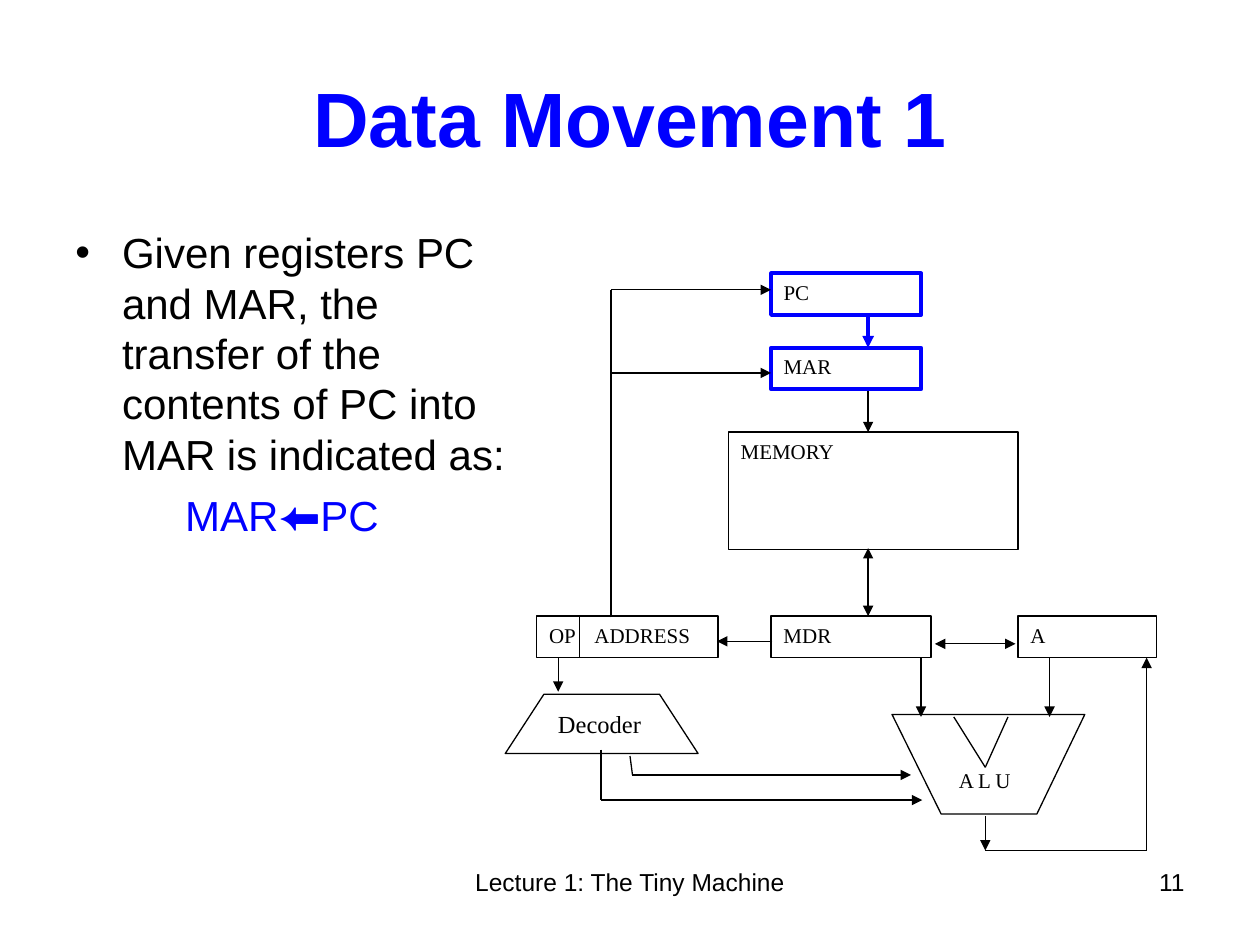
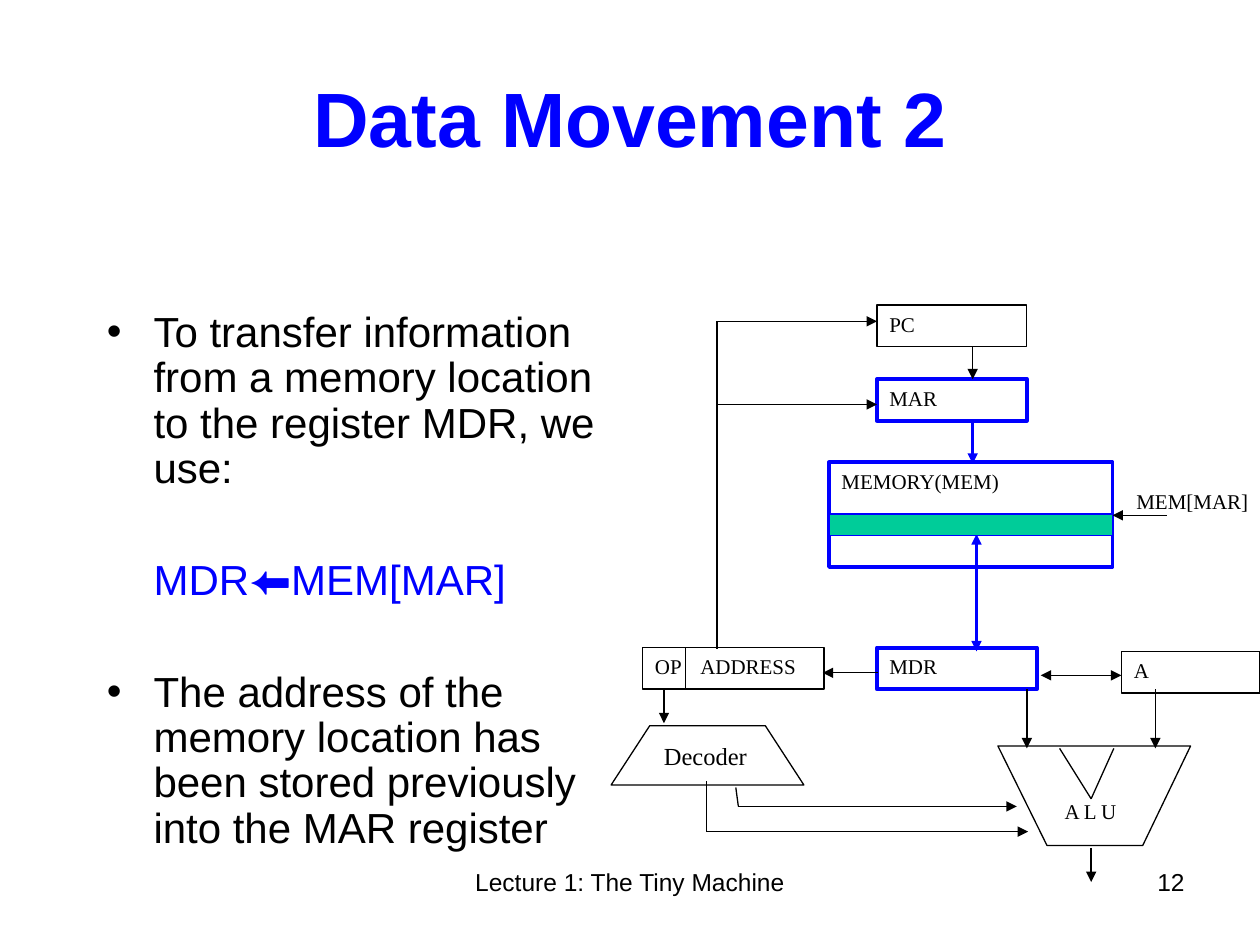
import pptx
import pptx.util
import pptx.dml.color
import pptx.enum.shapes
import pptx.enum.text
import pptx.oxml
import pptx.oxml.ns

Inches, Pt = pptx.util.Inches, pptx.util.Pt
RGB = pptx.dml.color.RGBColor
SHAPE = pptx.enum.shapes.MSO_SHAPE
ALIGN = pptx.enum.text.PP_ALIGN
ANCHOR = pptx.enum.text.MSO_ANCHOR
qn = pptx.oxml.ns.qn

BLACK, WHITE = RGB(0, 0, 0), RGB(255, 255, 255)
BLUE, GREEN = RGB(0, 0, 255), RGB(0, 0xCC, 0x99)
SANS, SERIF = "Arial", "Times New Roman"
THIN, MEDIUM, THICK = 0.74, 1.5, 2.25
FOOTER = "Lecture 1: The Tiny Machine"

# Machine parts common to both slides, placed for the first one
REGISTER_H = 0.33
REGISTERS = {"PC": (6.12, 2.17, 1.19), "MAR": (6.12, 2.76, 1.19),
             "MDR": (6.12, 4.89, 1.27), "OP\tADDRESS": (4.26, 4.89, 1.44)}
ALU = [(7.08, 5.67), (7.47, 6.46), (8.23, 6.46), (8.61, 5.67)]
DECODER = (4.01, 5.51, 1.53, 0.47)
# Each wire: points, then the ends that carry an arrowhead
WIRES = [
    ([(4.85, 4.9), (4.85, 2.3), (6.12, 2.3)], "tail"),       # address to PC
    ([(4.85, 2.96), (6.12, 2.96)], "tail"),                  # address to MAR
    ([(6.13, 5.09), (5.69, 5.09)], "tail"),                  # MDR to address
    ([(7.42, 5.11), (8.06, 5.11)], "both"),                  # MDR and A
    ([(7.31, 5.22), (7.31, 5.69)], "tail"),                  # MDR to ALU
    ([(8.33, 5.22), (8.33, 5.69)], "tail"),                  # A to ALU
    ([(7.57, 5.69), (7.82, 6.09), (8, 5.69)], ""),           # ALU notch
    ([(7.82, 6.48), (7.82, 6.75)], "tail"),                  # ALU result
    ([(4.6, 4.89), (4.6, 5.22)], ""),                        # OP divider
    ([(4.43, 5.22), (4.43, 5.49)], "tail"),                  # OP to decoder
    ([(5, 6), (5.02, 6.15), (7.23, 6.15)], "tail"),          # decoder to ALU
    ([(4.77, 5.95), (4.77, 6.35), (7.32, 6.35)], "tail"),
]

# What differs: active parts, memory, own wires (points, ends, colour, width)
SLIDES = [
    dict(title="Data Movement 1", number="11",
         body_at=(0.5, 1.75, 3.82, 4.95), spacing=1.0,
         body=[("Given registers PC and MAR, the transfer of the contents of "
                "PC into MAR is indicated as:", None, 6),
               ("MAR\u2b05PC", 0.87, 6)],
         offset=(0, 0), active=("PC", "MAR"), a_at=(8.08, 4.89),
         memory=("MEMORY", (5.78, 3.43, 2.3, 0.93)), cell=None,
         wires=[([(6.89, 2.5), (6.89, 2.76)], "tail", BLUE, THICK),
                ([(6.89, 3.1), (6.89, 3.43)], "tail", BLACK, THIN),
                ([(6.89, 4.35), (6.89, 4.89)], "both", BLACK, THIN),
                ([(7.82, 6.75), (9.1, 6.75), (9.1, 5.22)], "tail", BLACK, THIN)]),
    dict(title="Data Movement 2", number="12",
         body_at=(0.75, 2.42, 4.25, 4.83), spacing=0.9,
         body=[("To transfer information from a memory location to the "
                "register MDR, we use:", None, 6),
               ("MDR\u2b05MEM[MAR]", 0.37, 38),
               ("The address of the memory location has been stored previously "
                "into the MAR register", None, 38)],
         offset=(0.84, 0.25), active=("MAR", "MDR", "MEMORY(MEM)"), a_at=(8.9, 5.17),
         memory=("MEMORY(MEM)", (6.58, 3.67, 2.25, 0.83)),
         cell=("MEM[MAR]", (6.58, 4.08, 2.25, 0.17), (8.92, 3.83, 1.08, 0.3)),
         wires=[([(7.72, 2.75), (7.72, 3.01)], "tail", BLACK, THIN),
                ([(7.72, 3.35), (7.72, 3.68)], "tail", BLUE, MEDIUM),
                ([(7.75, 4.24), (7.75, 5.17)], "both", BLUE, MEDIUM),
                ([(9.26, 4.09), (8.83, 4.09)], "tail", BLACK, THIN)]),
]


def style(obj, **formats):
    for name, value in formats.items():
        setattr(obj, name, value)


def box(at):
    return [Inches(v) for v in at]


def shifted(points, offset):
    return [(x + offset[0], y + offset[1]) for x, y in points]


def write(p, text, size, font=SERIF, color=BLACK, bold=False):
    r = p.add_run()
    r.text = text
    style(r.font, size=Pt(size), name=font, bold=bold)
    r.font.color.rgb = color


def add_text(s, at, text, size, font=SERIF, align=ALIGN.LEFT):
    tf = s.shapes.add_textbox(*box(at)).text_frame
    tf.word_wrap = True
    p = tf.paragraphs[0]
    p.alignment = align
    write(p, text, size, font)
    return tf


def outline(sp, fill=WHITE, color=BLACK, width=THIN):
    sp.shadow.inherit = False
    sp.fill.solid()
    sp.fill.fore_color.rgb = fill
    sp.line.color.rgb = color
    sp.line.width = Pt(width)


def label(sp, text, **insets):
    tf = sp.text_frame
    style(tf, word_wrap=True, vertical_anchor=ANCHOR.TOP, **insets)
    p = tf.paragraphs[0]
    p.alignment = ALIGN.LEFT
    write(p, text, 12)
    return p


def add_box(s, text, at, active):
    sp = s.shapes.add_shape(SHAPE.RECTANGLE, *box(at))
    color, width = (BLUE, THICK) if active else (BLACK, THIN)
    outline(sp, color=color, width=width)
    p = label(sp, text)
    if "\t" in text:
        tabs = pptx.oxml.parse_xml(
            '<a:tabLst xmlns:a="http://schemas.openxmlformats.org/drawingml/2006/main">'
            f'<a:tab pos="{Inches(0.36)}" algn="l"/></a:tabLst>')
        p._p.get_or_add_pPr().append(tabs)


def add_wire(s, points, ends, color=BLACK, width=THIN):
    last = len(points) - 2
    for i, (a, b) in enumerate(zip(points, points[1:])):
        c = s.shapes.add_connector(pptx.enum.shapes.MSO_CONNECTOR.STRAIGHT, *box(a + b))
        c.line.color.rgb = color
        c.line.width = Pt(width)
        heads = [("headEnd", ends == "both" and i == 0),
                 ("tailEnd", ends != "" and i == last)]
        for tag, wanted in heads:
            if wanted:
                end = c.line._get_or_add_ln().makeelement(qn("a:" + tag), {"type": "triangle"})
                c.line._get_or_add_ln().append(end)
        effects = c._element.spPr.makeelement(qn("a:effectLst"), {})
        c._element.spPr.append(effects)


def add_frame(s, d):
    """Title, footer and slide number."""
    title = s.shapes.title
    style(title, **dict(zip(("left", "top", "width", "height"), box((0.5, 0.3, 9, 1.25)))))
    tf = title.text_frame
    style(tf, vertical_anchor=ANCHOR.MIDDLE, word_wrap=True)
    tf.paragraphs[0].alignment = ALIGN.CENTER
    write(tf.paragraphs[0], d["title"], 44, SANS, BLUE, True)
    add_text(s, (3.42, 6.83, 3.16, 0.51), FOOTER, 14, SANS, ALIGN.CENTER)
    add_text(s, (7.17, 6.83, 2.33, 0.51), d["number"], 14, SANS, ALIGN.RIGHT)


def add_body(s, d):
    """Bulleted statements, with the transfer formulas in blue."""
    tf = s.shapes.add_textbox(*box(d["body_at"])).text_frame
    tf.word_wrap = True
    for i, (text, formula_indent, before) in enumerate(d["body"]):
        p = tf.add_paragraph() if i else tf.paragraphs[0]
        style(p, space_before=Pt(before), line_spacing=d["spacing"])
        bulleted = formula_indent is None
        write(p, text, 24, SANS, BLACK if bulleted else BLUE)
        pPr = p._p.get_or_add_pPr()
        pPr.set("marL", str(Inches(0.37 if bulleted else formula_indent)))
        pPr.set("indent", str(Inches(-0.37 if bulleted else 0)))
        if bulleted:
            pPr.append(pPr.makeelement(qn("a:buFont"), {"typeface": SANS}))
            pPr.append(pPr.makeelement(qn("a:buChar"), {"char": "\u2022"}))


def add_machine(s, d):
    dx, dy = d["offset"]

    # Registers and memory
    for name, (x, y, w) in REGISTERS.items():
        add_box(s, name, (x + dx, y + dy, w, REGISTER_H), name in d["active"])
    add_box(s, "A", d["a_at"] + (1.1, REGISTER_H), False)
    name, at = d["memory"]
    add_box(s, name, at, name in d["active"])

    # Arithmetic unit
    corners = [tuple(box(point)) for point in shifted(ALU, d["offset"])]
    builder = s.shapes.build_freeform(*corners[0], scale=1.0)
    builder.add_line_segments(corners[1:], close=True)
    sp = builder.convert_to_shape()
    outline(sp)
    label(sp, "A L U", margin_left=Inches(0.53), margin_top=Inches(0.42))

    # Decoder
    x, y, w, h = DECODER
    sp = s.shapes.add_shape(SHAPE.FLOWCHART_MANUAL_OPERATION, *box((x + dx, y + dy, w, h)))
    sp.rotation = 180
    outline(sp)
    add_text(s, (x + dx + 0.32, y + dy + 0.07, 0.92, 0.34), "Decoder", 14)

    # Wires
    for points, ends in WIRES:
        add_wire(s, shifted(points, d["offset"]), ends)
    for wire in d["wires"]:
        add_wire(s, *wire)

    # Addressed memory cell
    if d["cell"]:
        text, cell_at, text_at = d["cell"]
        outline(s.shapes.add_shape(SHAPE.RECTANGLE, *box(cell_at)), GREEN, BLUE, 1)
        add_text(s, text_at, text, 12).margin_right = 0


prs = pptx.Presentation()
style(prs, slide_width=Inches(10), slide_height=Inches(7.5))
for d in SLIDES:
    s = prs.slides.add_slide(prs.slide_layouts[5])
    add_frame(s, d)
    add_body(s, d)
    add_machine(s, d)
prs.save("out.pptx")
